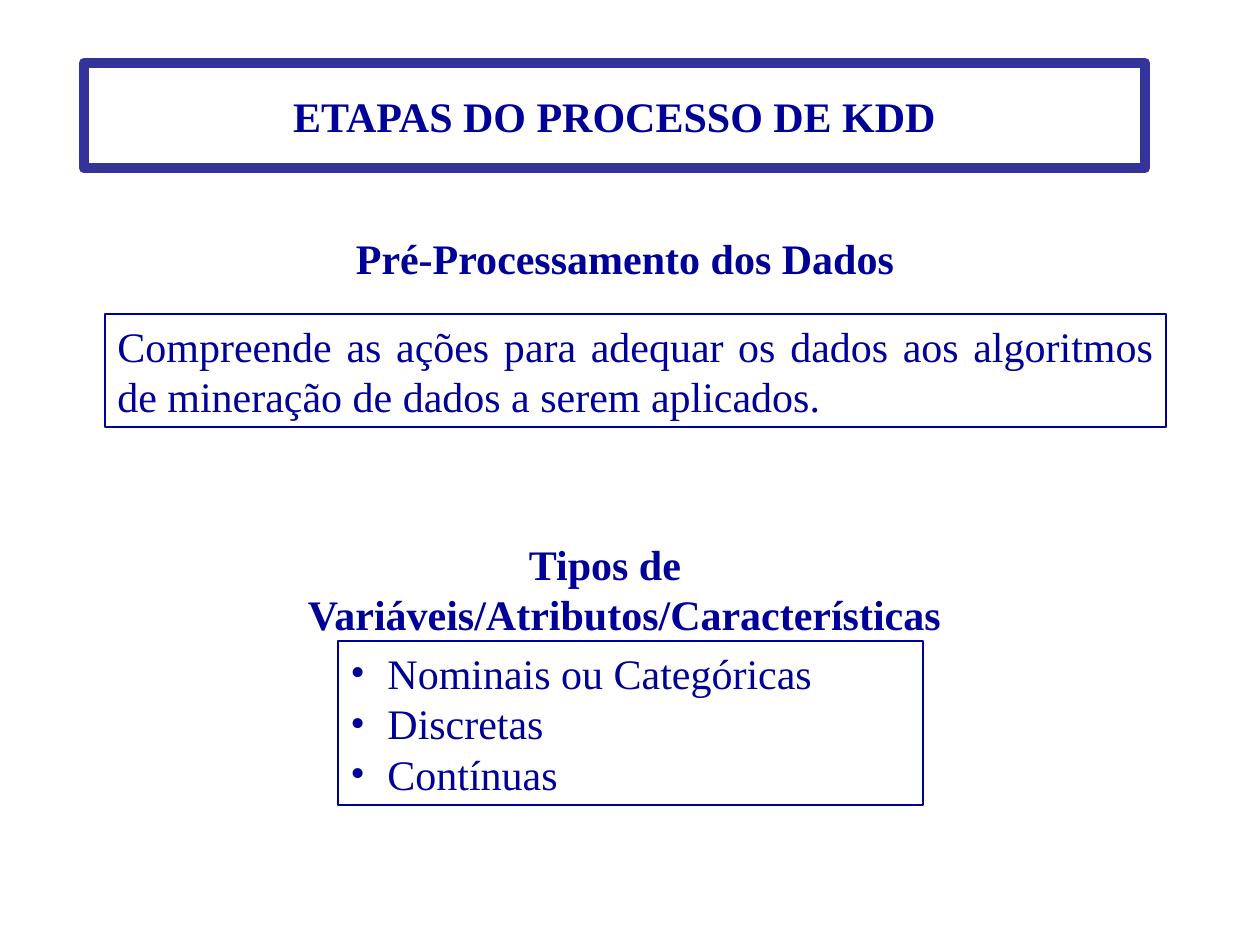
from dataclasses import dataclass

from lxml.etree import SubElement
from pptx import Presentation
from pptx.dml.color import RGBColor as RGB
from pptx.enum.shapes import MSO_SHAPE as SHAPE
from pptx.enum.text import MSO_ANCHOR as ANCHOR, PP_ALIGN as ALIGN
from pptx.oxml.ns import qn
from pptx.util import Emu, Pt

PX = 914400 / 126


@dataclass(frozen=True)
class Theme:
    font: str = "Times New Roman"
    size: int = 24
    ink: str = "000099"
    frame: str = "333399"
    frame_width: float = 6
    rule_width: float = 0.75


THEME = Theme()


def px(n):
    return Emu(round(n * PX))


def add_frame(shapes, box, color, width):
    sp = shapes.add_shape(SHAPE.RECTANGLE, *map(px, box))
    sp.shadow.inherit = False
    sp.fill.background()
    sp.line.color.rgb = RGB.from_string(color)
    sp.line.width = Pt(width)
    return sp


def add_text(sp, lines, align, anchor=ANCHOR.TOP, bold=False, hang=0, bullet=None):
    tf = sp.text_frame
    tf.word_wrap = True
    tf.vertical_anchor = anchor
    for i, line in enumerate(lines):
        p = tf.add_paragraph() if i else tf.paragraphs[0]
        p.alignment = align
        pPr = p._p.get_or_add_pPr()
        pPr.set("marL", str(px(hang)))
        pPr.set("indent", str(-px(hang)))
        if bullet:
            clr = SubElement(pPr, qn("a:buClr"))
            SubElement(clr, qn("a:srgbClr"), val=THEME.ink)
            SubElement(pPr, qn("a:buFont"), typeface=THEME.font)
            SubElement(pPr, qn("a:buChar"), char=bullet)
        r = p.add_run()
        r.text = line
        r.font.name = THEME.font
        r.font.size = Pt(THEME.size)
        r.font.bold = bold
        r.font.color.rgb = RGB.from_string(THEME.ink)


def add_title(shapes, box, text):
    sp = add_frame(shapes, box, THEME.frame, THEME.frame_width)
    add_text(sp, [text], ALIGN.CENTER, ANCHOR.MIDDLE, bold=True)


def add_heading(shapes, box, text):
    sp = shapes.add_textbox(*map(px, box))
    add_text(sp, [text], ALIGN.CENTER, bold=True, hang=39)


def add_definition(shapes, box, text):
    sp = add_frame(shapes, box, THEME.ink, THEME.rule_width)
    add_text(sp, [text], ALIGN.JUSTIFY)


def add_types(shapes, box, heading, items):
    x, y, w, h = box
    group = shapes.add_group_shape().shapes
    add_heading(group, (x, y, w, 113), heading)
    sp = add_frame(group, (x + 125, y + 109, 585, h - 109),
                   THEME.ink, THEME.rule_width)
    add_text(sp, items, ALIGN.JUSTIFY, ANCHOR.MIDDLE, hang=37, bullet="•")


def main():
    prs = Presentation()
    prs.slide_width, prs.slide_height = px(1260), px(945)
    shapes = prs.slides.add_slide(prs.slide_layouts[6]).shapes
    add_title(shapes, (84, 63, 1061, 105), "ETAPAS DO PROCESSO DE KDD")
    add_heading(shapes, (53, 226, 1144, 63), "Pré-Processamento dos Dados")
    add_definition(shapes, (105, 314, 1061, 113),
                   "Compreende as ações para adequar os dados aos algoritmos "
                   "de mineração de dados a serem aplicados.")
    add_types(shapes, (213, 532, 784, 273),
              "Tipos de Variáveis/Atributos/Características",
              ["Nominais ou Categóricas", "Discretas", "Contínuas"])
    prs.save("out.pptx")


if __name__ == "__main__":
    main()
